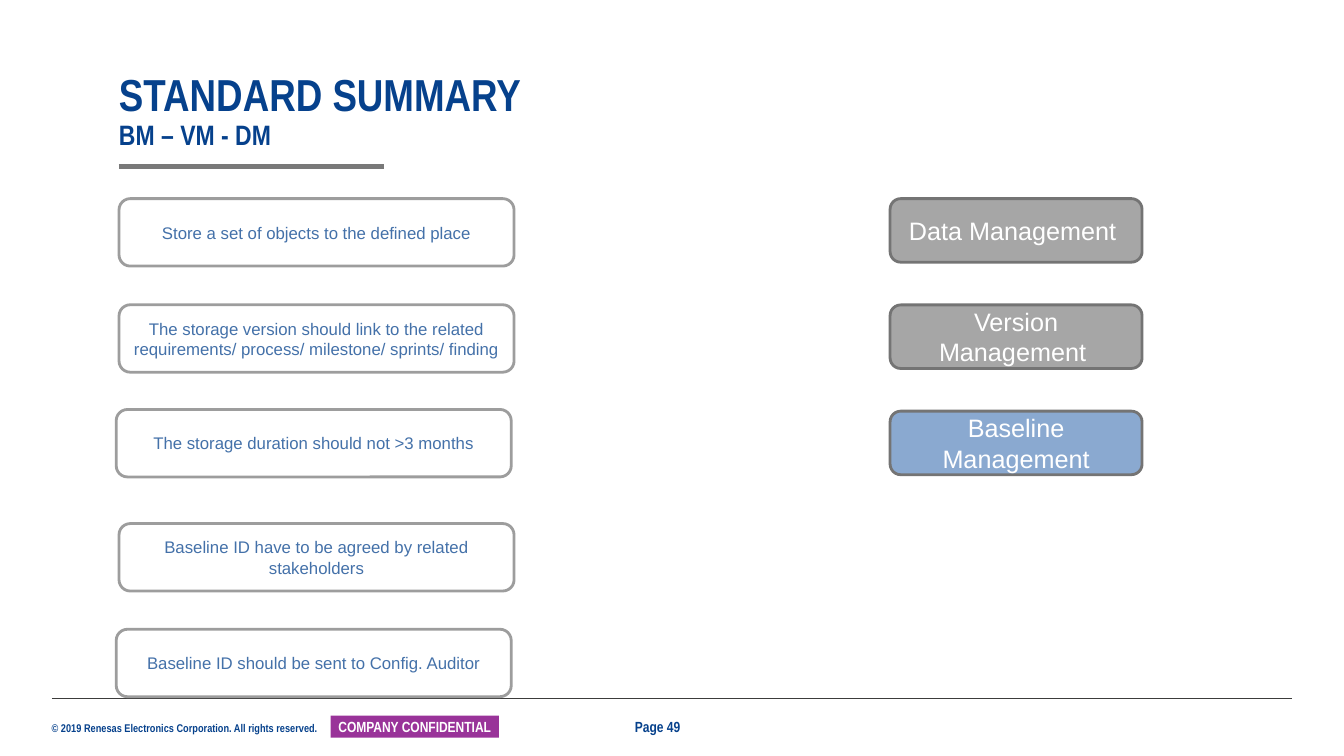
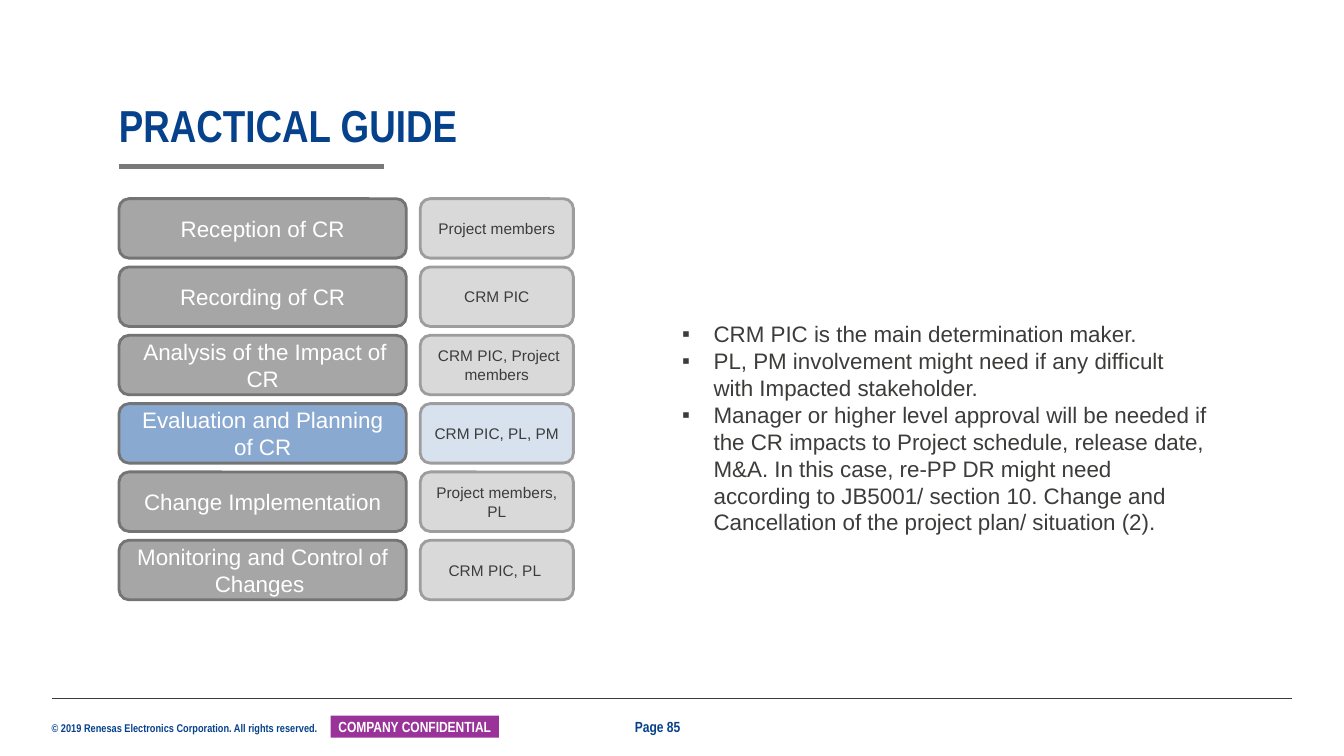
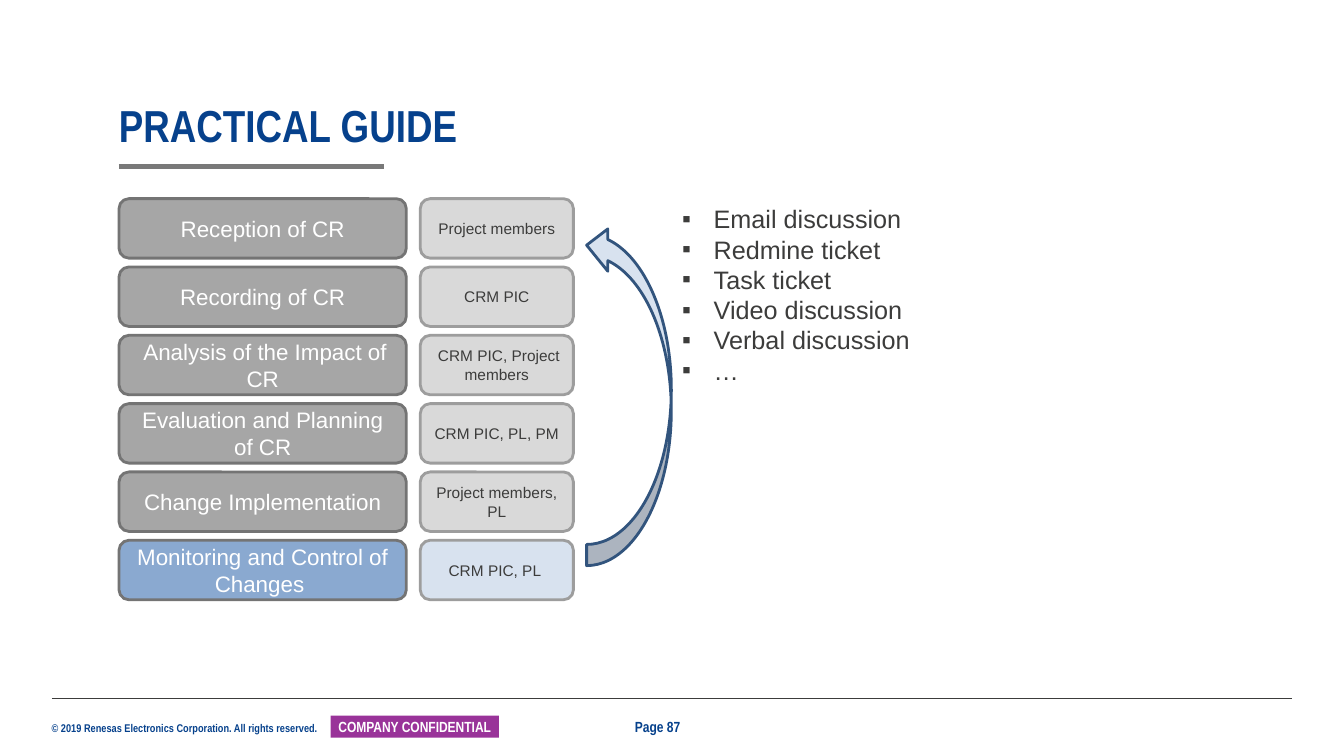
import pptx
import pptx.dml.color
import pptx.enum.shapes
import pptx.enum.text
import pptx.oxml.xmlchemy
import pptx.util

Pt = pptx.util.Pt
RGBColor = pptx.dml.color.RGBColor
SHAPE = pptx.enum.shapes.MSO_SHAPE
ALIGN = pptx.enum.text.PP_ALIGN
ANCHOR = pptx.enum.text.MSO_ANCHOR

NAVY = RGBColor(0x06, 0x41, 0x8C)
PURPLE = RGBColor(0x99, 0x33, 0x99)
WHITE = RGBColor(0xFF, 0xFF, 0xFF)
INK = RGBColor(0x3C, 0x3C, 0x3B)
RULE_GREY = RGBColor(0x79, 0x79, 0x79)
STEP_GREY = RGBColor(0xA6, 0xA6, 0xA6)
STEP_EDGE = RGBColor(0x74, 0x74, 0x74)
ROLE_GREY = RGBColor(0xD9, 0xD9, 0xD9)
ROLE_EDGE = RGBColor(0x9D, 0x9D, 0x9D)
BLUE = RGBColor(0x8A, 0xA9, 0xD0)
PALE_BLUE = RGBColor(0xD8, 0xE2, 0xEF)
TEXT_BLUE = RGBColor(0x44, 0x71, 0xA9)
ARROW_EDGE = RGBColor(0x32, 0x54, 0x7D)

BODY_FONT = "Arial"
HEAD_FONT = "Arial Narrow"
LEFT = 85
TOP = 141.9

COPYRIGHT = "© 2019 Renesas Electronics Corporation. All rights reserved."
CONFIDENTIAL = "COMPANY CONFIDENTIAL"

# text, left, top
REQUIREMENTS = [
    ("Store a set of objects to the defined place", LEFT, TOP),
    ("The storage version should link to the related requirements/ process/ "
     "milestone/ sprints/ finding", LEFT, 217.7),
    ("The storage duration should not >3 months", 83, 292.5),
    ("Baseline ID have to be agreed by related stakeholders", LEFT, 374),
    ("Baseline ID should be sent to Config. Auditor", 83, 449.5),
]
TOPICS = [
    ("Data Management ", STEP_GREY),
    ("Version Management ", STEP_GREY),
    ("Baseline Management", BLUE),
]
# step, people in charge
STEPS = [
    ("Reception of CR", "Project members"),
    ("Recording of CR", "CRM PIC"),
    (" Analysis of the Impact of CR", " CRM PIC, Project members"),
    ("Evaluation and Planning of CR", "CRM PIC, PL, PM"),
    ("Change Implementation", "Project members, PL"),
    ("Monitoring and Control of Changes ", "CRM PIC, PL "),
]
APPROVAL_NOTES = [
    "CRM PIC is the main determination maker.",
    "PL, PM involvement might need if any difficult with Impacted stakeholder.",
    "Manager or higher level approval will be needed if the CR impacts to Project "
    "schedule, release date, M&A. In this case, re-PP DR might need according to "
    "JB5001/ section 10. Change and Cancellation of the project plan/ situation (2).",
]
CHANNELS = ["Email discussion", "Redmine ticket", "Task ticket",
            "Video discussion", "Verbal discussion", "…"]


def write(frame, paragraphs, size, color, font=BODY_FONT, bold=False, align=ALIGN.LEFT,
          anchor=ANCHOR.TOP, insets=(7.2, 3.6), wrap=True, bullet=None):
    """Fill a text frame with one paragraph per string; insets are (sides, top and bottom)."""
    frame.word_wrap = wrap
    frame.vertical_anchor = anchor
    frame.margin_left = frame.margin_right = Pt(insets[0])
    frame.margin_top = frame.margin_bottom = Pt(insets[1])
    for index, text in enumerate(paragraphs):
        para = frame.paragraphs[0] if index == 0 else frame.add_paragraph()
        if bullet:
            add_bullet(para, bullet)
        para.alignment = align
        span = para.add_run()
        span.text = text
        set_font(span, size, color, font, bold)


def set_font(span, size, color, font, bold):
    span.font.size = Pt(size)
    span.font.name = font
    span.font.bold = bold
    span.font.color.rgb = color


def add_bullet(para, character, indent=22.5):
    properties = para._p.get_or_add_pPr()
    properties.set("marL", str(Pt(indent)))
    properties.set("indent", str(-Pt(indent)))
    for tag, attribute, value in (("buFont", "typeface", BODY_FONT),
                                  ("buChar", "char", character)):
        element = pptx.oxml.xmlchemy.OxmlElement(f"a:{tag}")
        element.set(attribute, value)
        properties.append(element)


def add_text(page, place, paragraphs, **style):
    box = page.shapes.add_textbox(*map(Pt, place))
    write(box.text_frame, paragraphs, **style)
    return box


def add_box(page, place, fill, edge=None, kind=SHAPE.ROUNDED_RECTANGLE, text=None, **style):
    box = page.shapes.add_shape(kind, *map(Pt, place))
    box.shadow.inherit = False
    box.fill.solid()
    box.fill.fore_color.rgb = fill
    if edge is None:
        box.line.fill.background()
    else:
        box.line.color.rgb = edge
        box.line.width = Pt(2)
    if text:
        write(box.text_frame, [text], align=ALIGN.CENTER, anchor=ANCHOR.MIDDLE, **style)
    return box


def add_rule(page, left, right, top, color, width):
    rule = page.shapes.add_connector(pptx.enum.shapes.MSO_CONNECTOR.STRAIGHT,
                                     Pt(left), Pt(top), Pt(right), Pt(top))
    rule.line.color.rgb = color
    rule.line.width = Pt(width)
    rule._element.spPr.append(pptx.oxml.xmlchemy.OxmlElement("a:effectLst"))


def add_page(deck, number, title, subtitle=None):
    """Add a page with its title, rules and footer."""
    page = deck.slides.add_slide(deck.slide_layouts[6])
    label = dict(color=NAVY, font=HEAD_FONT, bold=True, insets=(0, 0))
    add_text(page, (36.9, 515.5, 198, 9.4), [COPYRIGHT], size=8, wrap=False, **label)
    add_rule(page, 37, 923, 499, INK, 0.5)
    add_box(page, (236.2, 511.2, 120.2, 15.8), PURPLE, kind=SHAPE.RECTANGLE,
            text=CONFIDENTIAL, size=10.5, color=WHITE, font=HEAD_FONT, bold=True,
            insets=(2.9, 0))
    add_rule(page, LEFT, 274.3, 119, RULE_GREY, 3)
    box = add_text(page, (LEFT, 51.6, 708.5, 56.8), [title], size=32,
                   anchor=ANCHOR.BOTTOM, **label)
    para = box.text_frame.paragraphs[0]
    para.line_spacing = 0.9
    if subtitle:
        para.add_line_break()
        span = para.add_run()
        span.text = subtitle
        set_font(span, 20, NAVY, HEAD_FONT, True)
    add_text(page, (453.6, 512.6, 52.6, 13), [f"Page {number}"], size=10.5,
             anchor=ANCHOR.MIDDLE, **label)
    return page


def add_steps(page, current):
    """Stack the process steps beside their owners, with the current step in blue."""
    for row, (step, people) in enumerate(STEPS):
        top = TOP + row * 48.8
        active = row == current
        add_box(page, (LEFT, top, 205.2, 42.5), BLUE if active else STEP_GREY, STEP_EDGE,
                text=step, size=16, color=WHITE)
        add_box(page, (300.2, top, 109.4, 42.5), PALE_BLUE if active else ROLE_GREY,
                ROLE_EDGE, text=people, size=11, color=INK)


def build_summary(deck):
    page = add_page(deck, 49, "STANDARD SUMMARY", "BM – VM - DM")
    for row, (topic, fill) in enumerate(TOPICS):
        add_box(page, (635.8, TOP + row * 75.9, 180, 45.4), fill, STEP_EDGE,
                text=topic, size=18, color=WHITE)
    for text, left, top in REQUIREMENTS:
        add_box(page, (left, top, 282.2, 48.2), WHITE, ROLE_EDGE,
                text=text, size=12, color=TEXT_BLUE)


def build_evaluation(deck):
    page = add_page(deck, 85, "PRACTICAL GUIDE")
    add_steps(page, current=3)
    add_text(page, (480.2, 225.4, 391, 181.4), APPROVAL_NOTES, size=16, color=INK, bullet="▪")


def build_monitoring(deck):
    page = add_page(deck, 87, "PRACTICAL GUIDE")
    add_steps(page, current=5)
    add_text(page, (480.2, TOP, 414, 159.8), CHANNELS, size=18, color=INK, bullet="▪")
    arrow = add_box(page, (419, 160, 60.5, 244), PALE_BLUE, ARROW_EDGE,
                    kind=SHAPE.CURVED_RIGHT_ARROW)
    arrow.rotation = 180


def main():
    deck = pptx.Presentation()
    deck.slide_width, deck.slide_height = Pt(960), Pt(540)
    build_summary(deck)
    build_evaluation(deck)
    build_monitoring(deck)
    deck.save("out.pptx")


if __name__ == "__main__":
    main()
